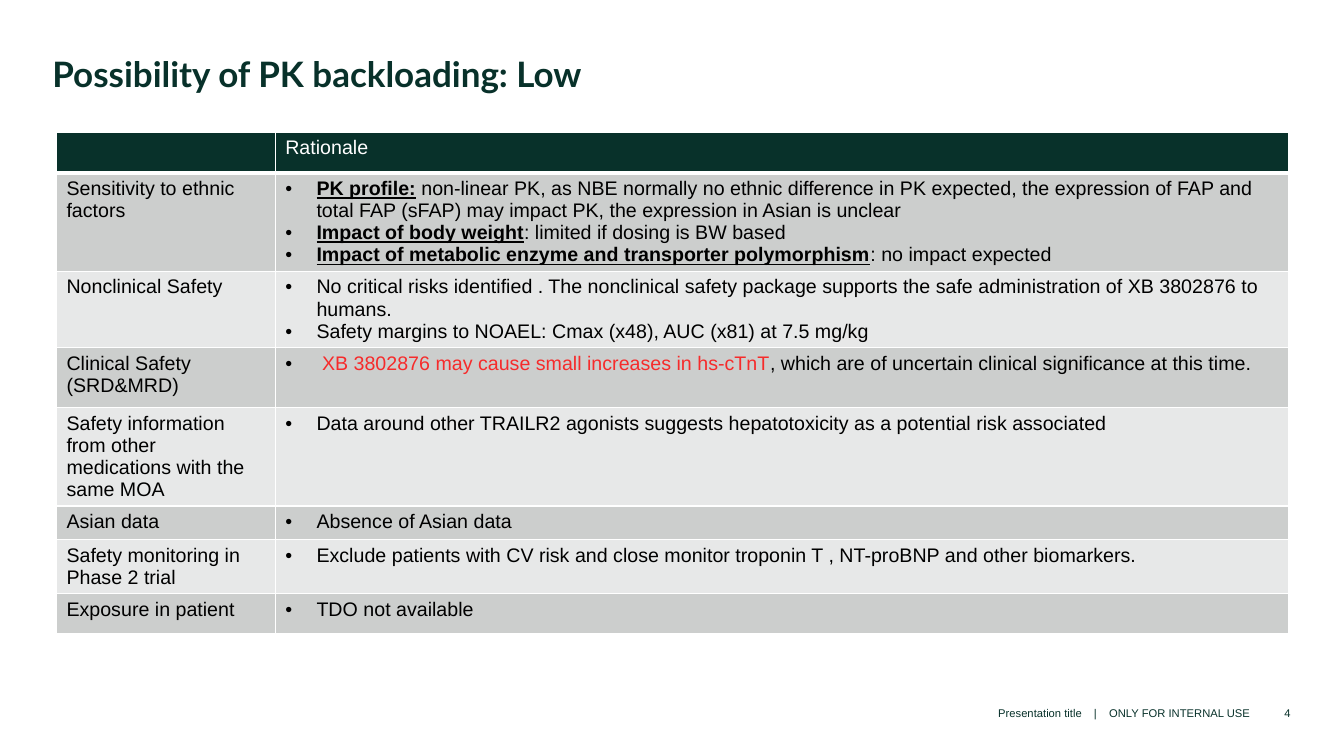
from lxml import etree
from pptx import Presentation
from pptx import util as u
from pptx.dml.color import RGBColor
from pptx.enum import text
from pptx.oxml.ns import qn

TITLE = "Possibility of PK backloading: Low"
FOOTER = "Presentation title\t|\tONLY FOR INTERNAL USE"
PAGE = "4"
GREEN, WHITE, BLACK, RED = "08312A", "FFFFFF", "000000", "F62B2B"
BANDS = ("CCCECD", "E7E8E8")
HEADER = "Rationale"

# Each row: height, label, bullets; each bullet is a list of (text, style) runs
ROWS = [
    (0.97, "Sensitivity to ethnic factors", [
        [("PK profile:", "key"),
         (" non-linear PK, as NBE normally no ethnic difference in PK expected, the expression "
          "of FAP and total FAP (sFAP) may impact PK, the expression in Asian is unclear", "")],
        [("Impact of body weight", "key"), (": limited if dosing is BW based", "")],
        [("Impact of metabolic enzyme and transporter polymorphism", "key"),
         (": no impact expected", "")]]),
    (0.75, "Nonclinical Safety", [
        [("No critical risks identified . The nonclinical safety package supports the safe "
          "administration of XB 3802876 to humans.", "")],
        [("Safety margins to NOAEL: Cmax (x48), AUC (x81) at 7.5 mg/kg", "")]]),
    (0.6, "Clinical Safety (SRD&MRD)", [
        [(" ", ""), ("XB 3802876 may cause small increases in hs-cTnT", "alert"),
         (", which are of uncertain clinical significance at this time.", "")]]),
    (0.97, "Safety information from other medications with the same MOA", [
        [("Data around other TRAILR2 agonists suggests hepatotoxicity as a potential risk "
          "associated", "")]]),
    (0.33, "Asian data", [[("Absence of Asian data", "")]]),
    (0.54, "Safety monitoring in Phase 2 trial", [
        [("Exclude patients with CV risk and close monitor troponin T , NT-proBNP and other "
          "biomarkers.", "")]]),
    (0.4, "Exposure in patient", [[("TDO not available", "")]]),
]
HEADER_H, COLS = 0.4, (2.17, 10.05)
INDENT = 0.31


def rgb(value):
    return RGBColor.from_string(value)


def style(font, size, color, name="Arial", bold=False):
    font.size, font.name, font.bold = u.Pt(size), name, bold
    font.color.rgb = rgb(color)


def setup_frame(tf, anchor):
    tf.margin_left = tf.margin_top = tf.margin_right = tf.margin_bottom = 0
    tf.word_wrap = True
    tf.auto_size = text.MSO_AUTO_SIZE.NONE
    tf.vertical_anchor = anchor


def small_text(slide, left, width, words, align):
    tf = slide.shapes.add_textbox(u.Inches(left), u.Inches(6.83),
                                  u.Inches(width), u.Inches(0.31)).text_frame
    setup_frame(tf, text.MSO_ANCHOR.BOTTOM)
    p = tf.paragraphs[0]
    p.text, p.alignment = words, align
    for r in p.runs:
        style(r.font, 8, GREEN)
    return tf


def add_tabs(p, stops):
    tabs = etree.SubElement(p._p.get_or_add_pPr(), qn("a:tabLst"))
    for stop in stops:
        etree.SubElement(tabs, qn("a:tab"), pos=str(u.Inches(stop)), algn="l")


def add_bullet(p):
    pPr = p._p.get_or_add_pPr()
    pPr.set("marL", str(u.Inches(INDENT)))
    pPr.set("indent", str(-u.Inches(INDENT)))
    etree.SubElement(pPr, qn("a:buFont"), typeface="Arial")
    etree.SubElement(pPr, qn("a:buChar"), char="•")


def paint_cell(cell, fill, bottom=1):
    tcPr = cell._tc.get_or_add_tcPr()
    for side, width in (("L", 1), ("R", 1), ("T", 1), ("B", bottom)):
        ln = etree.SubElement(tcPr, qn("a:ln" + side), w=str(u.Pt(width)))
        line_fill = etree.SubElement(ln, qn("a:solidFill"))
        etree.SubElement(line_fill, qn("a:srgbClr"), val=WHITE)
    cell.fill.solid()
    cell.fill.fore_color.rgb = rgb(fill)


def write_runs(p, runs, color=BLACK):
    for words, kind in runs:
        r = p.add_run()
        r.text = words
        style(r.font, 14, RED if kind == "alert" else color, bold=kind == "key")
        r.font.underline = kind == "key"


prs = Presentation()
prs.slide_width, prs.slide_height = u.Inches(13.33), u.Inches(7.5)
s = prs.slides.add_slide(prs.slide_layouts[5])

# Title
title = s.shapes.title
title.left, title.top = u.Inches(0.52), u.Inches(0.52)
title.width, title.height = u.Inches(12.28), u.Inches(0.79)
title.text_frame.text = TITLE
setup_frame(title.text_frame, text.MSO_ANCHOR.TOP)
p = title.text_frame.paragraphs[0]
p.alignment = text.PP_ALIGN.LEFT
style(p.runs[0].font, 25, GREEN, "Lato", True)

# Footer and page number
footer = small_text(s, 6.9, 5.51, FOOTER, text.PP_ALIGN.LEFT)
footer.margin_left = u.Inches(3)
add_tabs(footer.paragraphs[0], (0.95, 1.1))
footer.paragraphs[0].space_after = u.Pt(3)
small_text(s, 12.49, 0.31, PAGE, text.PP_ALIGN.RIGHT)

# Rationale table
heights = [HEADER_H] + [row[0] for row in ROWS]
table = s.shapes.add_table(len(heights), len(COLS), u.Inches(0.56), u.Inches(1.31),
                           u.Inches(sum(COLS)), u.Inches(sum(heights))).table
for column, width in zip(table.columns, COLS):
    column.width = u.Inches(width)
for row, height in zip(table.rows, heights):
    row.height = u.Inches(height)

for c in range(len(COLS)):
    paint_cell(table.cell(0, c), GREEN, bottom=3)
write_runs(table.cell(0, 1).text_frame.paragraphs[0], [(HEADER, "")], WHITE)

for i, (_, label, bullets) in enumerate(ROWS):
    name, detail = table.cell(i + 1, 0), table.cell(i + 1, 1)
    for cell in (name, detail):
        paint_cell(cell, BANDS[i % 2])
    write_runs(name.text_frame.paragraphs[0], [(label, "")])
    tf = detail.text_frame
    for n, runs in enumerate(bullets):
        p = tf.add_paragraph() if n else tf.paragraphs[0]
        add_bullet(p)
        write_runs(p, runs)

prs.save("out.pptx")
